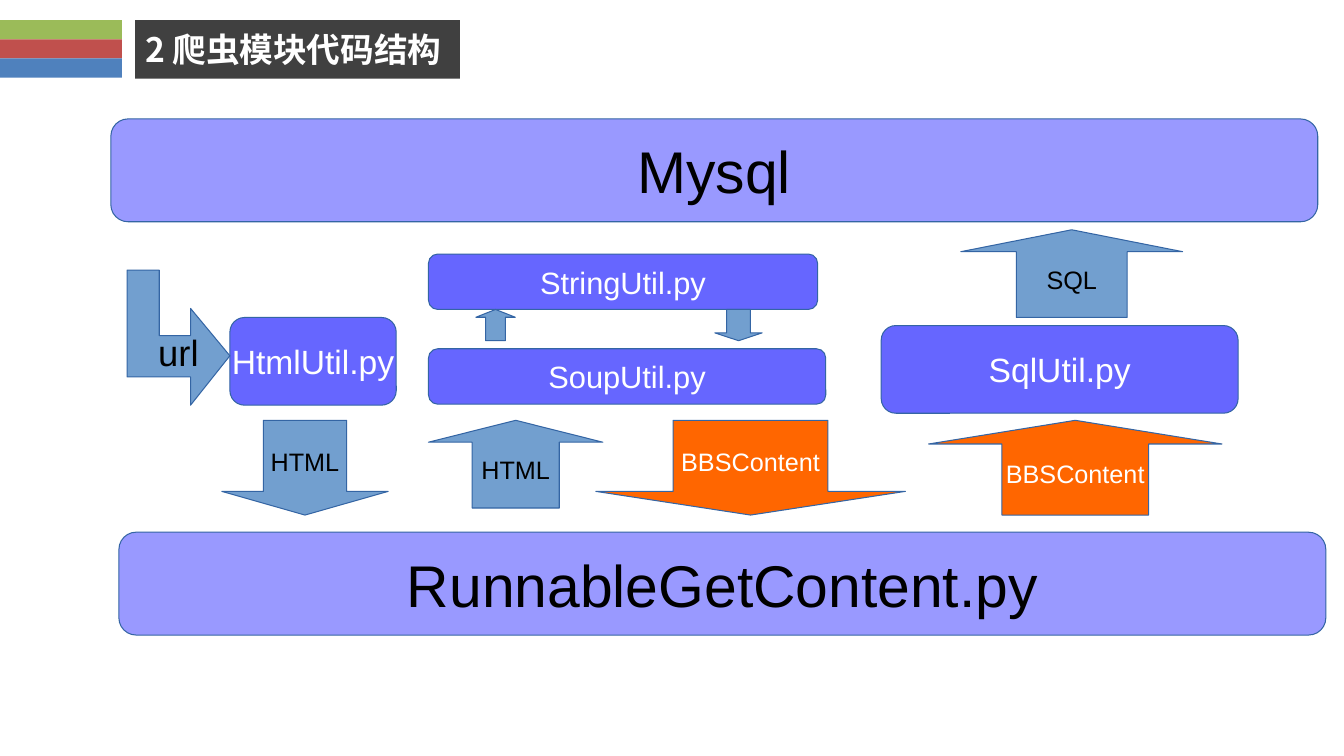
from lxml import etree
from pptx import Presentation
from pptx.dml.color import RGBColor
from pptx.enum.shapes import MSO_SHAPE
from pptx.enum.text import MSO_ANCHOR, PP_ALIGN
from pptx.oxml.ns import qn
from pptx.util import Inches, Pt

RECT, ROUND = MSO_SHAPE.RECTANGLE, MSO_SHAPE.ROUNDED_RECTANGLE
UP, DOWN = MSO_SHAPE.UP_ARROW, MSO_SHAPE.DOWN_ARROW
LEFT, CENTER, MIDDLE = PP_ALIGN.LEFT, PP_ALIGN.CENTER, MSO_ANCHOR.MIDDLE
ADJUSTMENTS = {ROUND: [0.167], UP: [0.5, 0.25], DOWN: [0.5, 0.25]}

LATIN, CJK = "Arial", "Noto Sans CJK SC"
BLACK, WHITE, DARK, OUTLINE = "000000", "FFFFFF", "404040", "3465A4"
LAYER, MODULE, FLOW, CONTENT = "9999FF", "6666FF", "729FCF", "FF6600"

# Content
TITLE = "2 爬虫模块代码结构"
STRIPES = ["9BBB59", "C0504D", "4F81BD"]

# Kind, (left, top, width, height), fill, text, size, text colour
BLOCKS = [
    (ROUND, (2.28, 3.15, 1.65, 0.87), MODULE, "HtmlUtil.py", 24, WHITE),
    (ROUND, (1.18, 5.28, 11.97, 1.02), LAYER, "RunnableGetContent.py", 42, BLACK),
    (ROUND, (1.1, 1.18, 11.97, 1.02), LAYER, "Mysql", 42, BLACK),
    (DOWN, (2.2, 4.17, 1.65, 0.94), FLOW, "HTML", 18, BLACK),
    (ROUND, (4.25, 3.46, 3.94, 0.55), MODULE, "SoupUtil.py", 22, WHITE),
    (UP, (4.25, 4.17, 1.73, 0.87), FLOW, "HTML", 18, BLACK),
    (ROUND, (4.25, 2.52, 3.86, 0.55), MODULE, "StringUtil.py", 22, WHITE),
    (UP, (4.72, 3.07, 0.39, 0.31), FLOW, "", 18, BLACK),
    (DOWN, (7.09, 3.07, 0.47, 0.31), FLOW, "", 18, BLACK),
    (DOWN, (5.91, 4.17, 3.07, 0.94), CONTENT, "BBSContent", 18, WHITE),
    (ROUND, (8.74, 3.23, 3.54, 0.87), MODULE, "SqlUtil.py", 24, WHITE),
    (UP, (9.21, 4.17, 2.91, 0.94), CONTENT, "BBSContent", 18, WHITE),
    (UP, (9.53, 2.28, 2.2, 0.87), FLOW, "SQL", 18, BLACK),
]
URL_ARROW = [(1.89, 3.06), (1.89, 3.33), (1.58, 3.33), (1.58, 2.68), (1.26, 2.68),
             (1.26, 3.74), (1.89, 3.74), (1.89, 4.02), (2.28, 3.53)]


def rgb(color):
    return RGBColor.from_string(color)


def paint(sp, fill, line=None):
    sp.shadow.inherit = False
    sp.fill.solid()
    sp.fill.fore_color.rgb = rgb(fill)
    if line:
        sp.line.color.rgb = rgb(line)
        sp.line.width = Pt(0)
    else:
        sp.line.fill.background()


def add_shape(kind, box, fill, line=None):
    sp = slide.shapes.add_shape(kind, *map(Inches, box))
    for i, value in enumerate(ADJUSTMENTS.get(kind, [])):
        sp.adjustments[i] = value
    paint(sp, fill, line)
    return sp


def label(sp, text, size, color, font=LATIN, bold=False, align=CENTER, inset_top=0.05):
    tf = sp.text_frame
    tf.word_wrap = False
    tf.vertical_anchor = MIDDLE
    tf.margin_top = Inches(inset_top)
    p = tf.paragraphs[0]
    p.text = text
    p.alignment = align
    r = p.runs[0]
    r.font.size, r.font.name, r.font.bold = Pt(size), font, bold
    r.font.color.rgb = rgb(color)
    etree.SubElement(r.font._element, qn("a:ea")).set("typeface", font)


prs = Presentation()
prs.slide_width, prs.slide_height = Inches(13.33), Inches(7.5)
slide = prs.slides.add_slide(prs.slide_layouts[6])

# Header stripes and title
for i, color in enumerate(STRIPES):
    add_shape(RECT, (0, 0.2 + i * 0.19, 1.21, 0.19), color)
sp = add_shape(RECT, (1.34, 0.2, 3.22, 0.58), DARK)
label(sp, TITLE, 24, WHITE, CJK, True, LEFT)

# Modules, layers and flow arrows
for kind, box, fill, text, size, color in BLOCKS:
    sp = add_shape(kind, box, fill, OUTLINE)
    if text:
        label(sp, text, size, color)

# Bent arrow feeding the url in
points = [(Inches(x), Inches(y)) for x, y in URL_ARROW]
builder = slide.shapes.build_freeform(*points[0])
builder.add_line_segments(points[1:], close=True)
sp = builder.convert_to_shape()
paint(sp, FLOW, OUTLINE)
label(sp, "url", 26, BLACK, inset_top=0.34)

prs.save("out.pptx")
